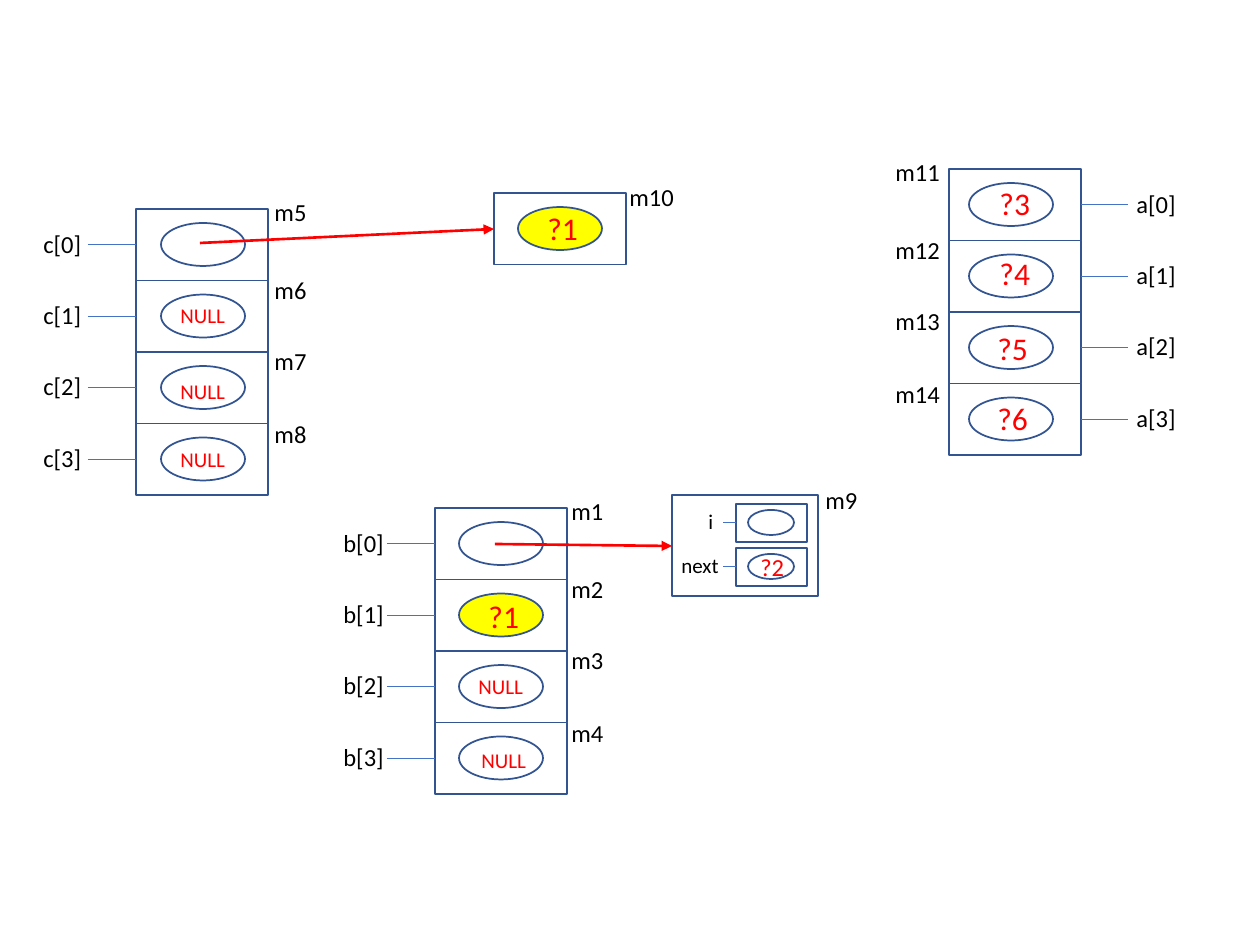
from lxml.etree import SubElement
from pptx import Presentation
from pptx.dml.color import RGBColor
from pptx.enum.shapes import MSO_CONNECTOR, MSO_SHAPE
from pptx.enum.text import MSO_AUTO_SIZE
from pptx.oxml.ns import qn
from pptx.util import Emu, Pt

THEME = {
    "font": "Calibri", "text": "000000", "unknown": "FF0000",
    "outline": "325491", "lead": "4472C4", "known": "FFFF00",
    "value": 18, "label": 14, "small": 12,
    "outline_w": 1, "lead_w": 0.5, "arrow_w": 1.5,
}

CELL_W, CELL_H = 132, 71.5
OVAL_W, OVAL_H, OVAL_DY = 84, 43, 14
MEMORY_DY = (-18, 60, 131, 204)
NAME_DY = (14, 85, 156, 228)

ARRAYS = [
    {"at": (136, 209), "oval_x": 161, "lead": (88, 136), "filled": (),
     "names": (31, 63, ["c[0]", "c[1]", "c[2]", "c[3]"]),
     "memory": (262, 58, ["m5", "m6", "m7", "m8"])},
    {"at": (949, 169), "oval_x": 969, "lead": (1128, 1081), "filled": (),
     "names": (1124, 66, ["a[0]", "a[1]", "a[2]", "a[3]"]),
     "memory": (883, 71, ["m11", "m12", "m13", "m14"])},
    {"at": (435, 508), "oval_x": 459, "lead": (387, 435), "filled": (1,),
     "names": (331, 66, ["b[0]", "b[1]", "b[2]", "b[3]"]),
     "memory": (559, 58, ["m1", "m2", "m3", "m4"])},
]
TARGET = (494, 193)
NODE = (672, 495, 146, 101)
FIELDS = [("i", 696, 30, 504), ("next", 669, 63, 548)]
ARROWS = [((200, 243), (494, 229)), ((495, 544), (672, 546))]
NODE_LABELS = [("m10", 617, 176, 71), ("m9", 813, 479, 58)]
NULLS = [(168, 296), (168, 372), (168, 440), (466, 667), (469, 741)]
UNKNOWNS = [("?1", 535, 203), ("?1", 476, 591), ("?3", 987, 178),
            ("?4", 987, 248), ("?5", 985, 323), ("?6", 985, 393)]

prs = Presentation()


def px(n):
    return Emu(round(n * 914400 / 126))


prs.slide_width, prs.slide_height = px(1260), px(945)
slide = prs.slides.add_slide(prs.slide_layouts[6])


def color(key):
    return RGBColor.from_string(THEME[key])


def add_outline(shapes, kind, x, y, w, h, fill=None):
    sp = shapes.add_shape(kind, px(x), px(y), px(w), px(h))
    sp.shadow.inherit = False
    if fill:
        sp.fill.solid()
        sp.fill.fore_color.rgb = color(fill)
    else:
        sp.fill.background()
    sp.line.color.rgb = color("outline")
    sp.line.width = Pt(THEME["outline_w"])


def add_line(start, end, style="lead"):
    line = slide.shapes.add_connector(
        MSO_CONNECTOR.STRAIGHT, *(px(n) for n in start + end))
    arrow = style == "arrow"
    line.line.color.rgb = color("unknown" if arrow else "lead")
    line.line.width = Pt(THEME[style + "_w"])
    if arrow:
        SubElement(line.line._get_or_add_ln(), qn("a:tailEnd"), type="triangle")
    SubElement(line._element.spPr, qn("a:effectLst"))


def add_text(text, x, y, w, size="label", ink="text"):
    h = {"value": 50, "label": 43, "small": 38}[size]
    tf = slide.shapes.add_textbox(px(x), px(y), px(w), px(h)).text_frame
    tf.word_wrap = False
    tf.auto_size = MSO_AUTO_SIZE.SHAPE_TO_FIT_TEXT
    r = tf.paragraphs[0].add_run()
    r.text = text
    r.font.name = THEME["font"]
    r.font.size = Pt(THEME[size])
    r.font.color.rgb = color(ink)


def add_array(at, oval_x, lead, filled, names, memory):
    x, y = at
    cells = slide.shapes.add_group_shape()
    for i in range(4):
        top = y + i * CELL_H
        add_outline(cells.shapes, MSO_SHAPE.RECTANGLE, x, top, CELL_W, CELL_H)
        add_outline(slide.shapes, MSO_SHAPE.OVAL, oval_x, top + OVAL_DY,
                    OVAL_W, OVAL_H, "known" if i in filled else None)
        middle = top + CELL_H / 2
        add_line((lead[0], middle), (lead[1], middle))
    for (left, width, texts), offsets in ((names, NAME_DY), (memory, MEMORY_DY)):
        for text, dy in zip(texts, offsets):
            add_text(text, left, y + dy, width)


for array in ARRAYS:
    add_array(**array)

add_outline(slide.shapes, MSO_SHAPE.RECTANGLE, *TARGET, CELL_W, CELL_H)
add_outline(slide.shapes, MSO_SHAPE.OVAL, TARGET[0] + 24, TARGET[1] + OVAL_DY,
            OVAL_W, OVAL_H, "known")

add_outline(slide.shapes, MSO_SHAPE.RECTANGLE, *NODE)
for name, x, w, y in FIELDS:
    add_outline(slide.shapes, MSO_SHAPE.RECTANGLE, 736, y, 71, 38)
    add_outline(slide.shapes, MSO_SHAPE.OVAL, 748, y + 6, 46, 25)
    add_line((736, y + 18), (723, y + 18))
    add_text(name, x, y - 2, w, "small")

for start, end in ARROWS:
    add_line(start, end, "arrow")
for label in NODE_LABELS:
    add_text(*label)
for x, y in NULLS:
    add_text("NULL", x, y, 71, "small", "unknown")
for text, x, y in UNKNOWNS:
    add_text(text, x, y, 57, "value", "unknown")
add_text("?2", 748, 546, 49, "label", "unknown")

prs.save("out.pptx")
